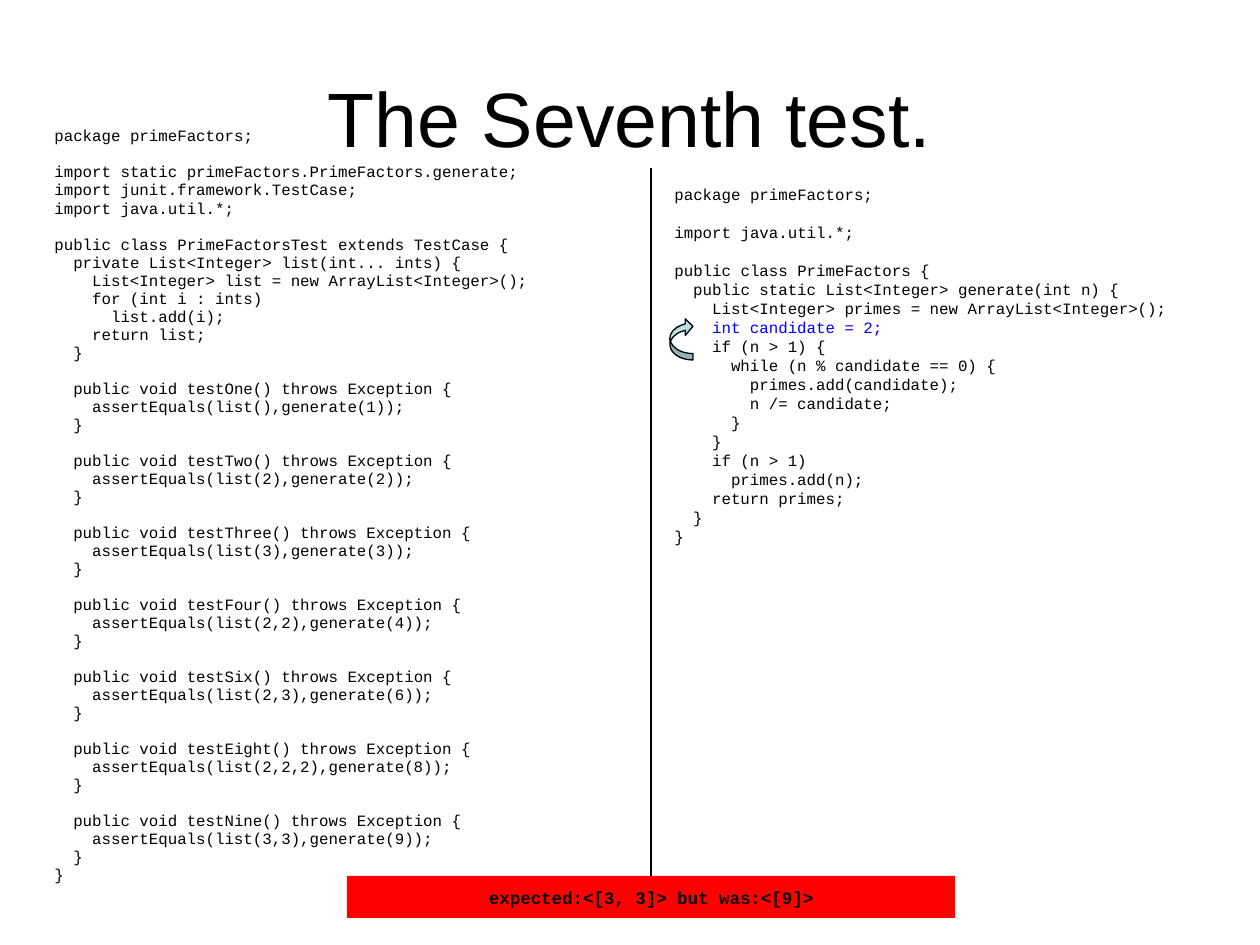
from pptx import Presentation
from pptx.dml.color import RGBColor
from pptx.enum.shapes import MSO_CONNECTOR, MSO_SHAPE
from pptx.enum.text import MSO_ANCHOR, MSO_AUTO_SIZE, PP_ALIGN
from pptx.oxml.ns import qn
from pptx.util import Emu, Pt
from lxml import etree

RECT, CURVED_ARROW = MSO_SHAPE.RECTANGLE, MSO_SHAPE.CURVED_RIGHT_ARROW
STRAIGHT = MSO_CONNECTOR.STRAIGHT
MIDDLE, CENTER = MSO_ANCHOR.MIDDLE, PP_ALIGN.CENTER
GROW, NO_FIT = MSO_AUTO_SIZE.SHAPE_TO_FIT_TEXT, MSO_AUTO_SIZE.NONE

# Content
TITLE = "The Seventh test."
RESULT = "expected:<[3, 3]> but was:<[9]>"
TESTS = [("One", "", 1), ("Two", "2", 2), ("Three", "3", 3), ("Four", "2,2", 4),
         ("Six", "2,3", 6), ("Eight", "2,2,2", 8), ("Nine", "3,3", 9)]
TEST_HEAD = """package primeFactors;

import static primeFactors.PrimeFactors.generate;
import junit.framework.TestCase;
import java.util.*;

public class PrimeFactorsTest extends TestCase {
  private List<Integer> list(int... ints) {
    List<Integer> list = new ArrayList<Integer>();
    for (int i : ints)
      list.add(i);
    return list;
  }
"""
TEST_METHOD = """
  public void test{}() throws Exception {{
    assertEquals(list({}),generate({}));
  }}
"""
TEST_CODE = TEST_HEAD + "".join(TEST_METHOD.format(*t) for t in TESTS) + "}"
CHANGED_LINE = "int candidate = 2;"
MAIN_CODE = """package primeFactors;

import java.util.*;

public class PrimeFactors {
  public static List<Integer> generate(int n) {
    List<Integer> primes = new ArrayList<Integer>();
    int candidate = 2;
    if (n > 1) {
      while (n % candidate == 0) {
        primes.add(candidate);
        n /= candidate;
      }
    }
    if (n > 1)
      primes.add(n);
    return primes;
  }
}"""

# Style
MONO, CODE_SIZE = "Courier New", 9
CHAR_WIDTH = 0.6 * CODE_SIZE
BLACK, BLUE, RED, TEAL = "000000", "0000FF", "FF0000", "BBE0E3"
SCALE = 914400 / 126


def px(n):
    return Emu(round(n * SCALE))


def box(*lengths):
    return [px(n) for n in lengths]


def rgb(value):
    return RGBColor.from_string(value)


def add_run(p, text, size, font, color=BLACK, bold=False):
    r = p.add_run()
    r.text = text
    r.font.size, r.font.name, r.font.bold = Pt(size), font, bold
    r.font.color.rgb = rgb(color)


def add_code(s, at, code, pitch):
    """Indents become margins; blank lines become space before the next line."""
    tf = s.shapes.add_textbox(*box(*at)).text_frame
    tf.word_wrap, tf.auto_size = True, GROW
    p, gap = tf.paragraphs[0], 0
    for i, line in enumerate(code.splitlines()):
        text = line.strip()
        if not text:
            gap += pitch
            continue
        if i:
            p = tf.add_paragraph()
        p.line_spacing, p.space_before = Pt(pitch), Pt(gap)
        indent = len(line) - len(text)
        pPr = p._p.get_or_add_pPr()
        pPr.set("marL", str(Pt(indent * CHAR_WIDTH)))
        pPr.set("indent", "0")
        add_run(p, text, CODE_SIZE, MONO, BLUE if text == CHANGED_LINE else BLACK)
        gap = 0


prs = Presentation()
prs.slide_width, prs.slide_height = box(1260, 945)
s = prs.slides.add_slide(prs.slide_layouts[5])

# Title
title = s.shapes.title
title.left, title.top, title.width, title.height = box(63, 38, 1134, 157)
tf = title.text_frame
tf.vertical_anchor, tf.auto_size = MIDDLE, NO_FIT
p = tf.paragraphs[0]
p.alignment = CENTER
add_run(p, TITLE, 44, "Arial")

# Test code, divider and code under test
add_code(s, (42, 121, 557, 769), TEST_CODE, 10.29)
divider = s.shapes.add_connector(STRAIGHT, *box(651, 168, 651, 892))
divider.line.color.rgb, divider.line.width = rgb(BLACK), Pt(0.75)
etree.SubElement(divider.element.spPr, qn("a:effectLst"))
add_code(s, (662, 179, 557, 373), MAIN_CODE, 10.83)

# Failure bar
bar = s.shapes.add_shape(RECT, *box(347, 876, 608, 42))
bar.shadow.inherit = False
bar.fill.solid()
bar.fill.fore_color.rgb = rgb(RED)
bar.line.fill.background()
tf = bar.text_frame
tf.word_wrap, tf.vertical_anchor = False, MIDDLE
p = tf.paragraphs[0]
p.alignment = CENTER
add_run(p, RESULT, 10, MONO, bold=True)

# Arrow from the condition up to the changed line
arrow = s.shapes.add_shape(CURVED_ARROW, *box(670, 318, 23, 42))
arrow.shadow.inherit = False
arrow.fill.solid()
arrow.fill.fore_color.rgb = rgb(TEAL)
arrow.line.color.rgb, arrow.line.width = rgb(BLACK), Pt(0.75)
for i, value in enumerate((0.28, 0.72, 0.33)):
    arrow.adjustments[i] = value
arrow.element.spPr.find(qn("a:xfrm")).set("flipV", "1")

prs.save("out.pptx")
